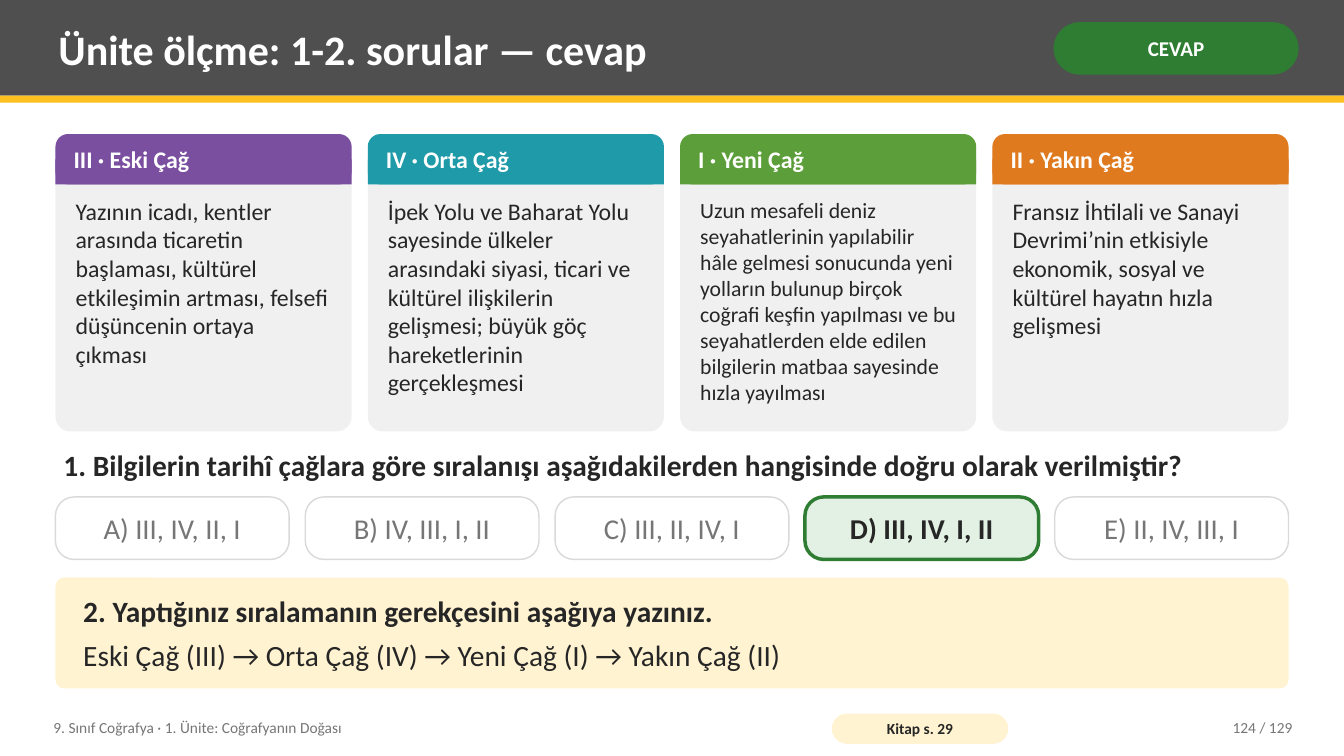
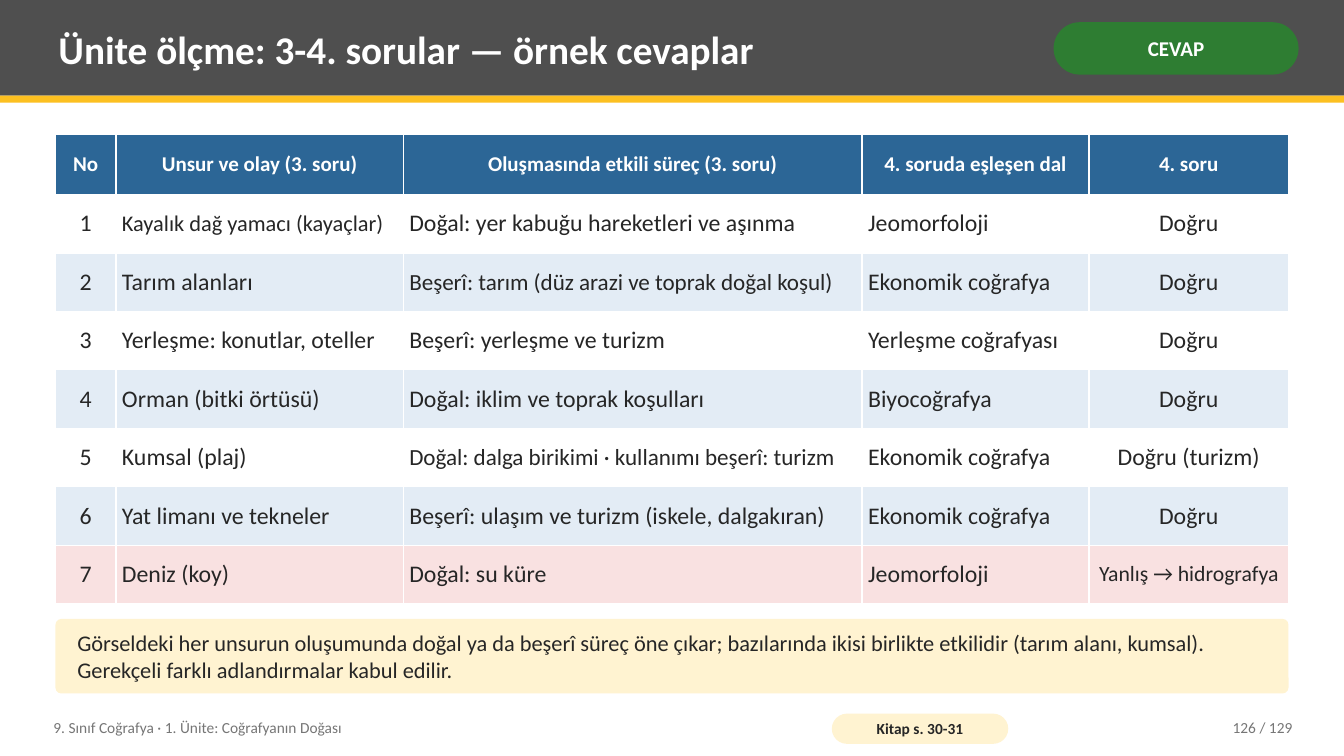
from dataclasses import dataclass
from typing import NamedTuple

from lxml.etree import SubElement
from pptx import Presentation
from pptx.dml.color import RGBColor
from pptx.enum.shapes import MSO_SHAPE as Shape
from pptx.enum.text import MSO_ANCHOR as Anchor, MSO_AUTO_SIZE as AutoSize, PP_ALIGN as Align
from pptx.oxml.ns import qn
from pptx.util import Inches, Pt

FONT = "Calibri"
COLORS = {
    "white": "FFFFFF", "ink": "262626", "muted": "767676", "outline": "D9D9D9",
    "band": "4F4F4F", "accent": "FCC021", "answer": "2E7D32", "answer_tint": "E3F1E4",
    "note": "FFF3D1", "card": "F0F0F0", "ancient": "7B4FA0", "middle": "1E9AA8",
    "early_modern": "5C9E3A", "modern": "E07A1F", "table_head": "2C6696",
    "row_tint": "E3ECF5", "row_wrong": "F9E1E1",
}
SLIDE_WIDTH, SLIDE_HEIGHT = 13.33, 7.5
LEFT, CONTENT_WIDTH, CONTENT_TOP = 0.55, 12.23, 1.33
GAP = 0.16
HEAD_HEIGHT = 0.5
TEXT_INSETS = (0.08, 0.04)
CELL_INSETS = (0.06, 0.05)


class Box(NamedTuple):
    left: float
    top: float
    width: float
    height: float

    def lengths(self) -> list:
        return [Inches(value) for value in self]


@dataclass(frozen=True)
class Line:
    """One paragraph with a single style."""
    text: str
    size: float
    color: str = "ink"
    bold: bool = False
    align: Align = Align.LEFT
    after: float = 0


@dataclass(frozen=True)
class Card:
    heading: str
    color: str
    body: str
    size: float = 17


@dataclass(frozen=True)
class Page:
    title: str
    title_size: float
    book_page: str
    number: str


class Sized(NamedTuple):
    """A table text that needs its own size to fit."""
    text: str
    size: float


def rgb(name: str) -> RGBColor:
    return RGBColor.from_string(COLORS[name])


# Shared drawing helpers
def write(frame, lines: list[Line], insets=TEXT_INSETS, anchor=Anchor.MIDDLE) -> None:
    frame.word_wrap = True
    frame.auto_size = AutoSize.NONE
    frame.vertical_anchor = anchor
    frame.margin_left = frame.margin_right = Inches(insets[0])
    frame.margin_top = frame.margin_bottom = Inches(insets[1])
    for index, line in enumerate(lines):
        paragraph = frame.add_paragraph() if index else frame.paragraphs[0]
        add_line(paragraph, line)


def add_line(paragraph, line: Line) -> None:
    paragraph.alignment = line.align
    if line.after:
        paragraph.space_after = Pt(line.after)
    run = paragraph.add_run()
    run.text = line.text
    run.font.name = FONT
    run.font.size = Pt(line.size)
    run.font.bold = line.bold
    run.font.color.rgb = rgb(line.color)


def add_text(slide, box: Box, line: Line, anchor=Anchor.MIDDLE) -> None:
    write(slide.shapes.add_textbox(*box.lengths()).text_frame, [line], anchor=anchor)


def add_panel(slide, box: Box, fill: str, radius: float = 0, outline: str = "",
              weight: float = 1, lines: tuple = (), insets=TEXT_INSETS) -> None:
    kind = Shape.ROUNDED_RECTANGLE if radius else Shape.RECTANGLE
    panel = slide.shapes.add_shape(kind, *box.lengths())
    panel.shadow.inherit = False
    if radius:
        panel.adjustments[0] = radius
    panel.fill.solid()
    panel.fill.fore_color.rgb = rgb(fill)
    if outline:
        panel.line.color.rgb = rgb(outline)
        panel.line.width = Pt(weight)
    else:
        panel.line.fill.background()
    if lines:
        write(panel.text_frame, lines, insets)


def spread(count: int, top: float, height: float) -> list[Box]:
    """Equal boxes across the content width."""
    width = (CONTENT_WIDTH - (count - 1) * GAP) / count
    return [Box(LEFT + i * (width + GAP), top, width, height) for i in range(count)]


# Header and footer of every slide
def add_page(deck, page: Page):
    slide = deck.slides.add_slide(deck.slide_layouts.get_by_name("Title Only"))
    add_panel(slide, Box(0, 0, SLIDE_WIDTH, 0.95), "band")
    add_panel(slide, Box(0, 0.95, SLIDE_WIDTH, 0.07), "accent")

    title = slide.shapes.title
    title.left, title.top, title.width, title.height = Box(0.5, 0.07, 9.75, 0.82).lengths()
    write(title.text_frame, [Line(page.title, page.title_size, "white", True)])
    title.element.getparent().append(title.element)  # in front of the band

    add_panel(slide, Box(10.45, 0.22, 2.43, 0.52), "answer", 0.5, insets=(0.05, 0.02),
              lines=[Line("CEVAP", 15, "white", True, Align.CENTER)])
    add_text(slide, Box(0.45, 7.04, 7.6, 0.36),
             Line("9. Sınıf Coğrafya · 1. Ünite: Coğrafyanın Doğası", 11, "muted"))
    add_panel(slide, Box(8.25, 7.08, 1.75, 0.3), "note", 0.5, insets=(0.04, 0),
              lines=[Line(page.book_page, 11, bold=True, align=Align.CENTER)])
    add_text(slide, Box(11.3, 7.04, 1.6, 0.36),
             Line(page.number, 11, "muted", align=Align.RIGHT))
    return slide


# Slide 1: ages and their order
AGES = [
    Card("III · Eski Çağ", "ancient",
         "Yazının icadı, kentler arasında ticaretin başlaması, kültürel etkileşimin "
         "artması, felsefi düşüncenin ortaya çıkması"),
    Card("IV · Orta Çağ", "middle",
         "İpek Yolu ve Baharat Yolu sayesinde ülkeler arasındaki siyasi, ticari ve "
         "kültürel ilişkilerin gelişmesi; büyük göç hareketlerinin gerçekleşmesi"),
    Card("I · Yeni Çağ", "early_modern",
         "Uzun mesafeli deniz seyahatlerinin yapılabilir hâle gelmesi sonucunda yeni "
         "yolların bulunup birçok coğrafi keşfin yapılması ve bu seyahatlerden elde "
         "edilen bilgilerin matbaa sayesinde hızla yayılması", 15.5),
    Card("II · Yakın Çağ", "modern",
         "Fransız İhtilali ve Sanayi Devrimi’nin etkisiyle ekonomik, sosyal ve "
         "kültürel hayatın hızla gelişmesi"),
]
CHOICES = ["A) III, IV, II, I", "B) IV, III, I, II", "C) III, II, IV, I",
           "D) III, IV, I, II", "E) II, IV, III, I"]
CORRECT = "D) III, IV, I, II"


def add_card(slide, box: Box, card: Card) -> None:
    left, top, width, height = box
    add_panel(slide, box, "card", 0.05)
    add_panel(slide, Box(left, top, width, HEAD_HEIGHT), card.color, 0.25)
    add_panel(slide, Box(left, top + HEAD_HEIGHT / 2, width, HEAD_HEIGHT / 2), card.color)
    add_text(slide, Box(left + 0.1, top, width - 0.2, HEAD_HEIGHT),
             Line(card.heading, 17, "white", True))
    add_text(slide, Box(left + 0.12, top + 0.58, width - 0.24, height - 0.66),
             Line(card.body, card.size), Anchor.TOP)


def add_choice(slide, box: Box, choice: str) -> None:
    correct = choice == CORRECT
    label = Line(choice, 20.5, "ink" if correct else "muted", correct, Align.CENTER)
    add_panel(slide, box, "answer_tint" if correct else "white", 0.3,
              "answer" if correct else "outline", 2.5 if correct else 1,
              [label], (0.14, 0.08))


def build_ages(deck) -> None:
    slide = add_page(deck, Page("Ünite ölçme: 1-2. sorular — cevap", 30,
                                "Kitap s. 29", "124 / 129"))
    for box, card in zip(spread(len(AGES), CONTENT_TOP, 2.95), AGES):
        add_card(slide, box, card)
    add_text(slide, Box(LEFT, 4.36, CONTENT_WIDTH, 0.5),
             Line("1. Bilgilerin tarihî çağlara göre sıralanışı aşağıdakilerden "
                  "hangisinde doğru olarak verilmiştir?", 21, bold=True))
    for box, choice in zip(spread(len(CHOICES), 4.93, 0.62), CHOICES):
        add_choice(slide, box, choice)
    add_panel(slide, Box(LEFT, 5.73, CONTENT_WIDTH, 1.1), "note", 0.08, insets=(0.25, 0.08),
              lines=[Line("2. Yaptığınız sıralamanın gerekçesini aşağıya yazınız.", 21,
                          bold=True, after=6),
                     Line("Eski Çağ (III) → Orta Çağ (IV) → Yeni Çağ (I) → Yakın Çağ (II)", 21)])


# Slide 2: table of elements and processes
COLUMN_WIDTHS = [0.6, 2.85, 4.55, 2.25, 1.98]
CENTERED_COLUMNS = {0, 4}
HEAD_ROW, BODY_ROW = 0.6, 0.58
HEADINGS = ["No", "Unsur ve olay (3. soru)", "Oluşmasında etkili süreç (3. soru)",
            "4. soruda eşleşen dal", "4. soru"]
ELEMENTS = [
    (Sized("Kayalık dağ yamacı (kayaçlar)", 16), "Doğal: yer kabuğu hareketleri ve aşınma",
     "Jeomorfoloji", "Doğru"),
    ("Tarım alanları", Sized("Beşerî: tarım (düz arazi ve toprak doğal koşul)", 16.5),
     "Ekonomik coğrafya", "Doğru"),
    ("Yerleşme: konutlar, oteller", "Beşerî: yerleşme ve turizm",
     "Yerleşme coğrafyası", "Doğru"),
    ("Orman (bitki örtüsü)", "Doğal: iklim ve toprak koşulları", "Biyocoğrafya", "Doğru"),
    ("Kumsal (plaj)", Sized("Doğal: dalga birikimi · kullanımı beşerî: turizm", 16.5),
     "Ekonomik coğrafya", "Doğru (turizm)"),
    ("Yat limanı ve tekneler", "Beşerî: ulaşım ve turizm (iskele, dalgakıran)",
     "Ekonomik coğrafya", "Doğru"),
    ("Deniz (koy)", "Doğal: su küre", "Jeomorfoloji", Sized("Yanlış → hidrografya", 15.5)),
]


def fill_cell(cell, line: Line, fill: str) -> None:
    properties = cell._tc.get_or_add_tcPr()
    for side in ("a:lnL", "a:lnR", "a:lnT", "a:lnB"):
        border = SubElement(properties, qn(side), w=str(Pt(0.96)))
        SubElement(SubElement(border, qn("a:solidFill")), qn("a:srgbClr"), val=COLORS["white"])
    cell.fill.solid()
    cell.fill.fore_color.rgb = rgb(fill)
    cell.vertical_anchor = Anchor.MIDDLE
    cell.margin_left = cell.margin_right = Inches(CELL_INSETS[0])
    cell.margin_top = cell.margin_bottom = Inches(CELL_INSETS[1])
    add_line(cell.text_frame.paragraphs[0], line)


def add_elements_table(slide) -> None:
    box = Box(LEFT, CONTENT_TOP, CONTENT_WIDTH, HEAD_ROW + len(ELEMENTS) * BODY_ROW)
    table = slide.shapes.add_table(len(ELEMENTS) + 1, len(HEADINGS), *box.lengths()).table
    table.first_row = table.horz_banding = False
    for column, width in zip(table.columns, COLUMN_WIDTHS):
        column.width = Inches(width)
    for index, row in enumerate(table.rows):
        row.height = Inches(BODY_ROW if index else HEAD_ROW)

    for column, heading in enumerate(HEADINGS):
        fill_cell(table.cell(0, column), Line(heading, 15, "white", True, Align.CENTER),
                  "table_head")
    for number, element in enumerate(ELEMENTS, 1):
        wrong = number == len(ELEMENTS)
        fill = "row_wrong" if wrong else "white" if number % 2 else "row_tint"
        for column, entry in enumerate((str(number), *element)):
            text, size = entry if isinstance(entry, Sized) else (entry, 17)
            align = Align.CENTER if column in CENTERED_COLUMNS else Align.LEFT
            fill_cell(table.cell(number, column), Line(text, size, align=align), fill)


def build_elements(deck) -> None:
    slide = add_page(deck, Page("Ünite ölçme: 3-4. sorular — örnek cevaplar", 28,
                                "Kitap s. 30-31", "126 / 129"))
    add_elements_table(slide)
    add_panel(slide, Box(LEFT, 6.14, CONTENT_WIDTH, 0.74), "note", 0.08, insets=(0.2, 0.08),
              lines=[Line("Görseldeki her unsurun oluşumunda doğal ya da beşerî süreç öne "
                          "çıkar; bazılarında ikisi birlikte etkilidir (tarım alanı, kumsal). "
                          "Gerekçeli farklı adlandırmalar kabul edilir.", 16)])


def main() -> None:
    deck = Presentation()
    deck.slide_width, deck.slide_height = Inches(SLIDE_WIDTH), Inches(SLIDE_HEIGHT)
    build_ages(deck)
    build_elements(deck)
    deck.save("out.pptx")


if __name__ == "__main__":
    main()
